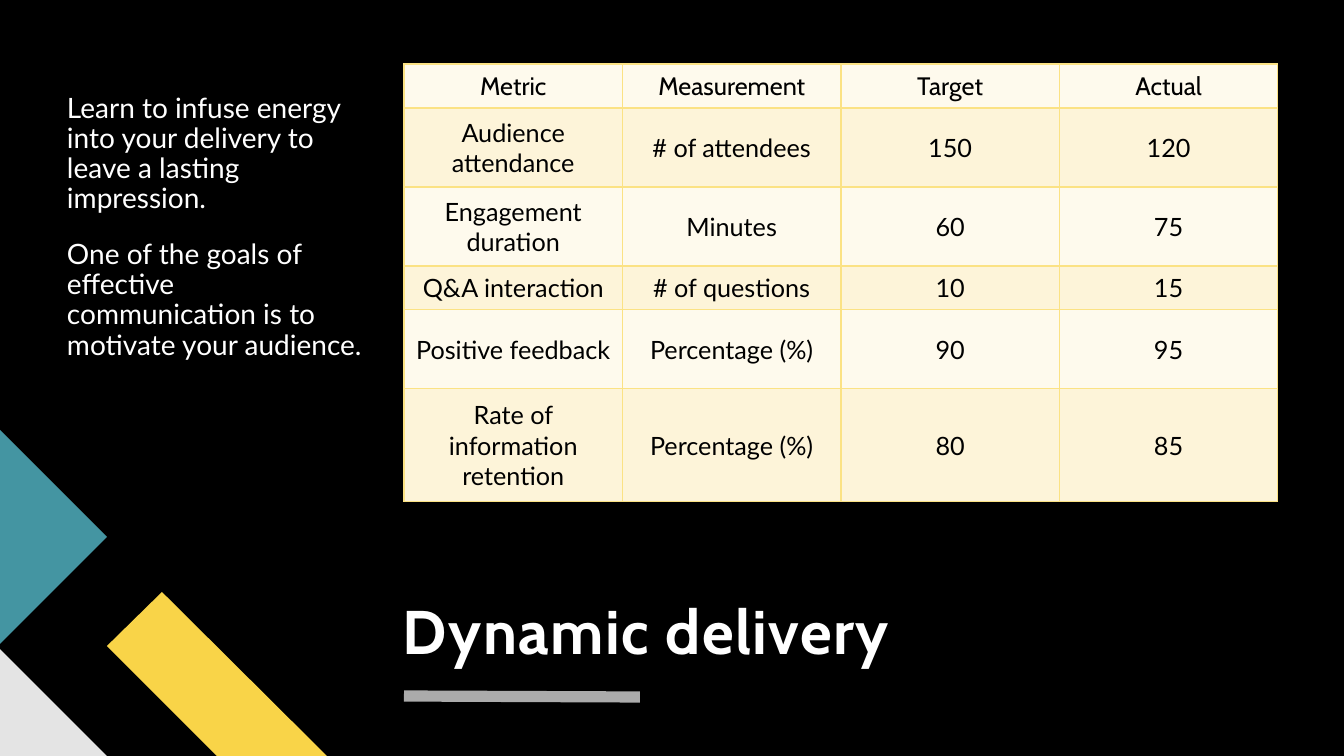
import dataclasses
from typing import Any

import lxml.etree
import pptx
import pptx.dml.color
import pptx.enum.shapes
import pptx.enum.text
import pptx.oxml.ns
import pptx.util

EMU_PER_PIXEL = 12192000 / 1344


@dataclasses.dataclass(frozen=True)
class Theme:
    """Colours, fonts and type sizes of the deck."""
    background: str = "000000"
    light_text: str = "FFFFFF"
    dark_text: str = "000000"
    yellow: str = "F9D448"
    grey: str = "E4E4E4"
    teal: str = "4495A2"
    rule: str = "ABABAB"
    border: str = "FBE284"
    bands: tuple[str, str] = ("FEFAED", "FDF4D9")
    heading_font: str = "Cabin"
    body_font: str = "Lato"
    title_size: int = 44
    body_size: int = 20
    table_size: int = 18


@dataclasses.dataclass(frozen=True)
class Box:
    """A rectangle in pixels."""
    left: int
    top: int
    width: int
    height: int


@dataclasses.dataclass(frozen=True)
class Polygon:
    """A filled outline with its corners in pixels."""
    color: str
    points: tuple[tuple[int, int], ...]


THEME = Theme()
TITLE_BOX = Box(403, 514, 875, 152)
BODY_BOX = Box(67, 64, 311, 441)
TABLE_BOX = Box(404, 64, 874, 438)
ROW_HEIGHTS = (44, 79, 79, 44, 79, 113)
CORNER_SHAPES = (
    Polygon(THEME.yellow, ((327, 756), (217, 756), (107, 646), (162, 592))),
    Polygon(THEME.grey, ((107, 756), (0, 756), (0, 649))),
    Polygon(THEME.teal, ((0, 430), (107, 537), (0, 644))),
)
BODY_TEXT = (
    "Learn to infuse energy into your delivery to leave a lasting impression.",
    "One of the goals of effective communication is to motivate your audience.",
)
METRICS = (
    ("Metric", "Measurement", "Target", "Actual"),
    ("Audience attendance", "# of attendees", "150", "120"),
    ("Engagement duration", "Minutes", "60", "75"),
    ("Q&A interaction", "# of questions", "10", "15"),
    ("Positive feedback", "Percentage (%)", "90", "95"),
    ("Rate of information retention", "Percentage (%)", "80", "85"),
)


def px(value: float) -> int:
    """Turn pixels into EMU."""
    return round(value * EMU_PER_PIXEL)


def rgb(value: str) -> pptx.dml.color.RGBColor:
    """Turn a hex string into a colour."""
    return pptx.dml.color.RGBColor.from_string(value)


def apply(target: Any, values: dict[str, Any]) -> None:
    """Set each named value on the target."""
    for name, value in values.items():
        setattr(target, name, value)


def add_element(parent: Any, tag: str, **attributes: str) -> Any:
    """Append a drawing element to its parent."""
    return lxml.etree.SubElement(parent, pptx.oxml.ns.qn(tag), attributes)


def write(para: Any, text: str, font: str, size: int, color: str,
          bold: bool = False) -> Any:
    """Add one formatted run to a paragraph."""
    span = para.add_run()
    span.text = text
    apply(span.font, {"name": font, "size": pptx.util.Pt(size), "bold": bold})
    span.font.color.rgb = rgb(color)
    return span


def place(shape: Any, box: Box, margins: tuple[int, int, int, int],
          anchor: Any) -> Any:
    """Move a placeholder and prepare its text frame."""
    apply(shape, {name: px(value)
                  for name, value in dataclasses.asdict(box).items()})
    frame = shape.text_frame
    sides = ("margin_left", "margin_top", "margin_right", "margin_bottom")
    apply(frame, {side: px(value) for side, value in zip(sides, margins)})
    apply(frame, {"word_wrap": True, "vertical_anchor": anchor,
                  "auto_size": pptx.enum.text.MSO_AUTO_SIZE.NONE})
    return frame


def fill_title(shape: Any) -> None:
    """Write the slide title."""
    frame = place(shape, TITLE_BOX, (0, 0, 0, 0),
                  pptx.enum.text.MSO_ANCHOR.BOTTOM)
    para = frame.paragraphs[0]
    apply(para, {"line_spacing": 0.8,
                 "alignment": pptx.enum.text.PP_ALIGN.LEFT})
    span = write(para, "Dynamic delivery", THEME.heading_font,
                 THEME.title_size, THEME.light_text, True)
    span._r.get_or_add_rPr().set("spc", "100")


def fill_body(shape: Any) -> None:
    """Write the paragraphs beside the table."""
    frame = place(shape, BODY_BOX, (0, 30, 10, 5),
                  pptx.enum.text.MSO_ANCHOR.TOP)
    for index, text in enumerate(BODY_TEXT):
        para = frame.add_paragraph() if index else frame.paragraphs[0]
        apply(para, {"line_spacing": 0.9, "space_before": pptx.util.Pt(18)})
        properties = para._p.get_or_add_pPr()
        apply_indent = {"marL": "0", "indent": "0"}
        for name, value in apply_indent.items():
            properties.set(name, value)
        add_element(properties, "a:buNone")
        write(para, text, THEME.body_font, THEME.body_size, THEME.light_text)


def add_polygon(slide: Any, polygon: Polygon) -> None:
    """Draw one corner shape."""
    start, *others = polygon.points
    builder = slide.shapes.build_freeform(*start, scale=EMU_PER_PIXEL)
    builder.add_line_segments(others, close=True)
    shape = builder.convert_to_shape()
    shape.shadow.inherit = False
    shape.fill.solid()
    shape.fill.fore_color.rgb = rgb(polygon.color)
    shape.line.fill.background()


def add_title_rule(slide: Any) -> None:
    """Draw the thick line under the title."""
    rule = slide.shapes.add_connector(
        pptx.enum.shapes.MSO_CONNECTOR.STRAIGHT,
        px(404), px(696), px(640), px(697))
    rule.line.width = pptx.util.Pt(8)
    rule.line.color.rgb = rgb(THEME.rule)
    add_element(rule._element.spPr, "a:effectLst")


def style_cell(cell: Any, fill: str) -> None:
    """Give a cell its borders, fill and anchor."""
    properties = cell._tc.get_or_add_tcPr()
    for side in ("a:lnL", "a:lnR", "a:lnT", "a:lnB"):
        line = add_element(properties, side, w=str(pptx.util.Pt(0.96)))
        add_element(add_element(line, "a:solidFill"), "a:srgbClr",
                    val=THEME.border)
    cell.fill.solid()
    cell.fill.fore_color.rgb = rgb(fill)
    cell.vertical_anchor = pptx.enum.text.MSO_ANCHOR.MIDDLE


def add_metrics(slide: Any) -> None:
    """Draw the table of metrics."""
    box = [px(value) for value in dataclasses.astuple(TABLE_BOX)]
    table = slide.shapes.add_table(len(METRICS), len(METRICS[0]), *box).table
    apply(table, {"first_row": False, "horz_banding": False})
    for row_index, (texts, height) in enumerate(zip(METRICS, ROW_HEIGHTS)):
        table.rows[row_index].height = px(height)
        font = THEME.body_font if row_index else THEME.heading_font
        for column_index, text in enumerate(texts):
            cell = table.cell(row_index, column_index)
            style_cell(cell, THEME.bands[row_index % 2])
            para = cell.text_frame.paragraphs[0]
            para.alignment = pptx.enum.text.PP_ALIGN.CENTER
            write(para, text, font, THEME.table_size, THEME.dark_text)


def main() -> None:
    """Build and save the deck."""
    deck = pptx.Presentation()
    apply(deck, {"slide_width": px(1344), "slide_height": px(756)})
    slide = deck.slides.add_slide(deck.slide_layouts[1])
    slide.background.fill.solid()
    slide.background.fill.fore_color.rgb = rgb(THEME.background)
    for polygon in CORNER_SHAPES:
        add_polygon(slide, polygon)
    add_title_rule(slide)
    fill_title(slide.shapes.title)
    fill_body(slide.placeholders[1])
    add_metrics(slide)
    deck.save("out.pptx")


main()
